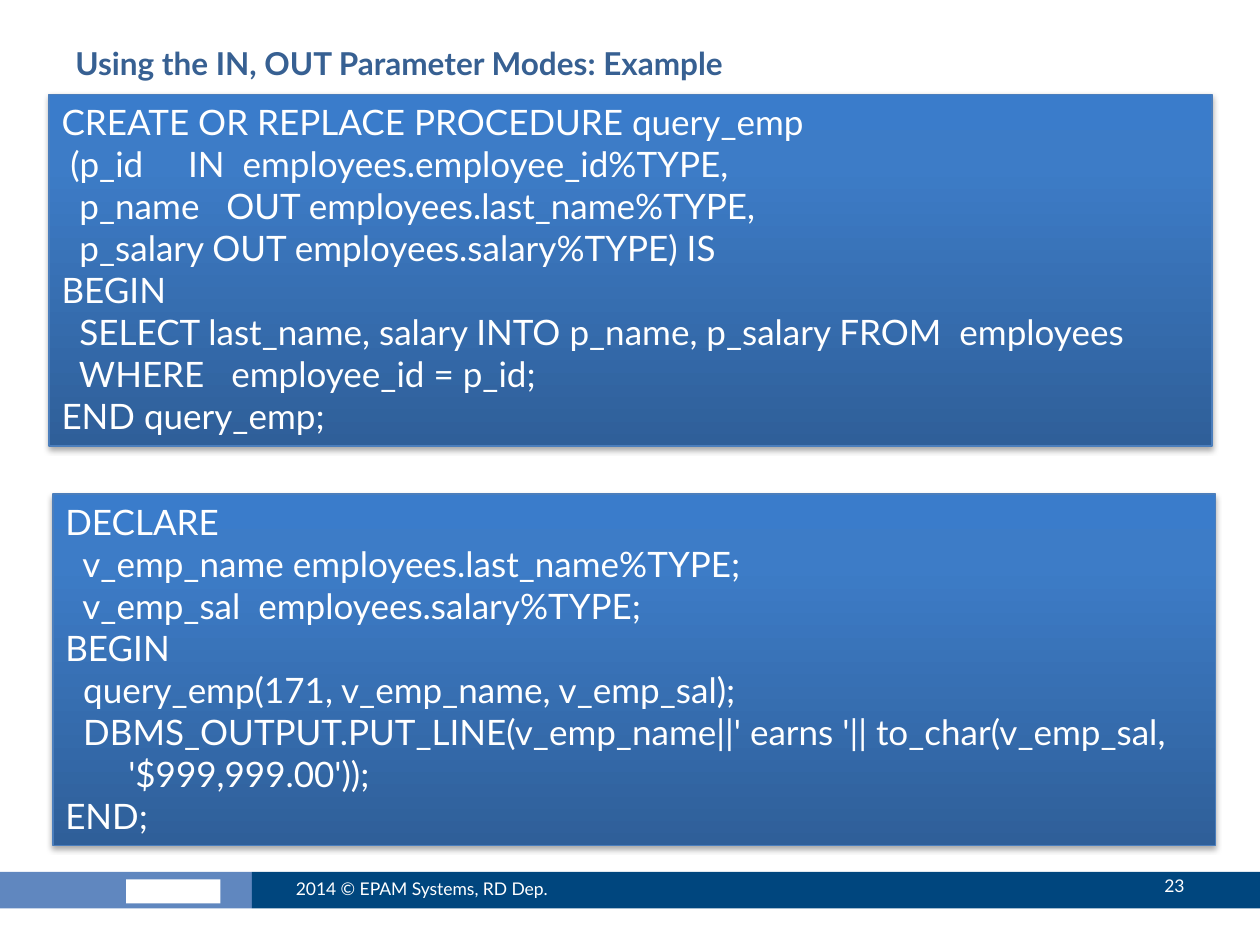
from dataclasses import dataclass

from lxml import etree
from pptx import Presentation
from pptx.dml.color import RGBColor
from pptx.enum.shapes import MSO_SHAPE
from pptx.enum.text import MSO_ANCHOR, MSO_AUTO_SIZE, PP_ALIGN
from pptx.oxml import parse_xml
from pptx.oxml.ns import nsdecls, qn
from pptx.util import Inches, Pt

RECT = MSO_SHAPE.RECTANGLE
TOP, MIDDLE = MSO_ANCHOR.TOP, MSO_ANCHOR.MIDDLE
LEFT, RIGHT = PP_ALIGN.LEFT, PP_ALIGN.RIGHT
GROW = MSO_AUTO_SIZE.SHAPE_TO_FIT_TEXT


@dataclass(frozen=True)
class Theme:
    """Colours, font and type sizes of the slide."""
    font: str = "Lato"
    title: str = "376092"
    white: str = "FFFFFF"
    pale: str = "6087BF"
    navy: str = "00467E"
    edge: str = "4B7EBC"
    fade: tuple = ((0, "2F5F99"), (80, "3D7CC7"), (100, "3A7CCB"))
    head: int = 18
    code: int = 20
    foot: int = 10


THEME = Theme()

QUERY = (
    "CREATE OR REPLACE PROCEDURE query_emp",
    " (p_id     IN  employees.employee_id%TYPE,",
    "  p_name   OUT employees.last_name%TYPE,",
    "  p_salary OUT employees.salary%TYPE) IS",
    "BEGIN",
    "  SELECT last_name, salary INTO p_name, p_salary FROM  employees",
    "  WHERE   employee_id = p_id;",
    "END query_emp;",
)
CALL = (
    "DECLARE",
    "  v_emp_name employees.last_name%TYPE;",
    "  v_emp_sal  employees.salary%TYPE;",
    "BEGIN",
    "  query_emp(171, v_emp_name, v_emp_sal);",
    "  DBMS_OUTPUT.PUT_LINE(v_emp_name||' earns '|| "
    "to_char(v_emp_sal, '$999,999.00'));",
    "END;",
)


def add_run(para, text, size, color, bold=False):
    """Add one styled run to a paragraph."""
    run = para.add_run()
    run.text = text
    font = run.font
    font.name, font.size, font.bold = THEME.font, Pt(size), bold
    font.color.rgb = RGBColor.from_string(color)


def add_text(slide, box, text, size, color, bold=False, align=LEFT, anchor=MIDDLE):
    """Add a one-line text box."""
    frame = slide.shapes.add_textbox(*map(Inches, box)).text_frame
    frame.word_wrap = True
    frame.vertical_anchor = anchor
    para = frame.paragraphs[0]
    para.alignment = align
    add_run(para, text, size, color, bold)


def add_bar(slide, box, color):
    """Add a plain filled rectangle."""
    bar = slide.shapes.add_shape(RECT, *map(Inches, box))
    bar.shadow.inherit = False
    bar.fill.solid()
    bar.fill.fore_color.rgb = RGBColor.from_string(color)
    bar.line.fill.background()


def style_panel(panel):
    """Give a panel its edge, gradient and soft shadow."""
    panel.line.color.rgb = RGBColor.from_string(THEME.edge)
    panel.line.width = Pt(0.75)
    stops = "".join(
        f'<a:gs pos="{pos * 1000}"><a:srgbClr val="{color}"/></a:gs>'
        for pos, color in THEME.fade
    )
    props = panel.element.spPr
    props.find(qn("a:ln")).addprevious(parse_xml(
        f'<a:gradFill {nsdecls("a")} rotWithShape="1"><a:gsLst>{stops}</a:gsLst>'
        '<a:lin ang="16200000" scaled="0"/></a:gradFill>'
    ))
    props.append(parse_xml(
        f'<a:effectLst {nsdecls("a")}><a:outerShdw blurRad="{Pt(3.1)}" '
        f'dist="{Pt(1.8)}" dir="5400000" rotWithShape="0"><a:srgbClr val="000000">'
        '<a:alpha val="35000"/></a:srgbClr></a:outerShdw></a:effectLst>'
    ))


def set_indent(para):
    """Set the hanging indent and tab stops of a code line."""
    props = para._p.get_or_add_pPr()
    props.set("marL", str(Inches(0.5)))
    props.set("indent", str(Inches(-0.5)))
    tabs = etree.SubElement(props, qn("a:tabLst"))
    for pos, side in ((0.44, "r"), (0.74, "l")):
        etree.SubElement(tabs, qn("a:tab"), pos=str(Inches(pos)), algn=side)


def add_code(slide, box, lines):
    """Add a gradient panel holding lines of code."""
    panel = slide.shapes.add_shape(RECT, *map(Inches, box))
    style_panel(panel)
    frame = panel.text_frame
    frame.word_wrap = True
    frame.auto_size = GROW
    frame.vertical_anchor = TOP
    for row, line in enumerate(lines):
        para = frame.add_paragraph() if row else frame.paragraphs[0]
        para.alignment = LEFT
        set_indent(para)
        add_run(para, line, THEME.code, THEME.white)


def add_footer(slide, box):
    """Add the footer band with its mark, notice and page number."""
    left, top, width, height = box
    split = 2
    add_bar(slide, (left, top, split, height), THEME.pale)
    add_bar(slide, (left + 1, top + 0.06, 0.75, 0.19), THEME.white)
    add_bar(slide, (left + split, top, width - split, height), THEME.navy)
    add_text(slide, (left + 2.25, top - 0.07, 2.67, 0.4),
             "2014 © EPAM Systems, RD Dep.", THEME.foot, THEME.white)
    add_text(slide, (left + 8.42, top - 0.09, 1.08, 0.4),
             "23", THEME.foot, THEME.white, align=RIGHT)


def main():
    """Build and save the slide."""
    deck = Presentation()
    deck.slide_width, deck.slide_height = Inches(10), Inches(7.5)
    slide = deck.slides.add_slide(deck.slide_layouts[6])
    add_footer(slide, (0, 6.92, 10, 0.29))
    add_text(slide, (0.5, 0.3, 9, 0.78), "Using the IN, OUT Parameter Modes: Example",
             THEME.head, THEME.title, bold=True, anchor=TOP)
    add_code(slide, (0.39, 0.75, 9.23, 2.79), QUERY)
    add_code(slide, (0.42, 3.92, 9.23, 2.79), CALL)
    deck.save("out.pptx")


if __name__ == "__main__":
    main()
